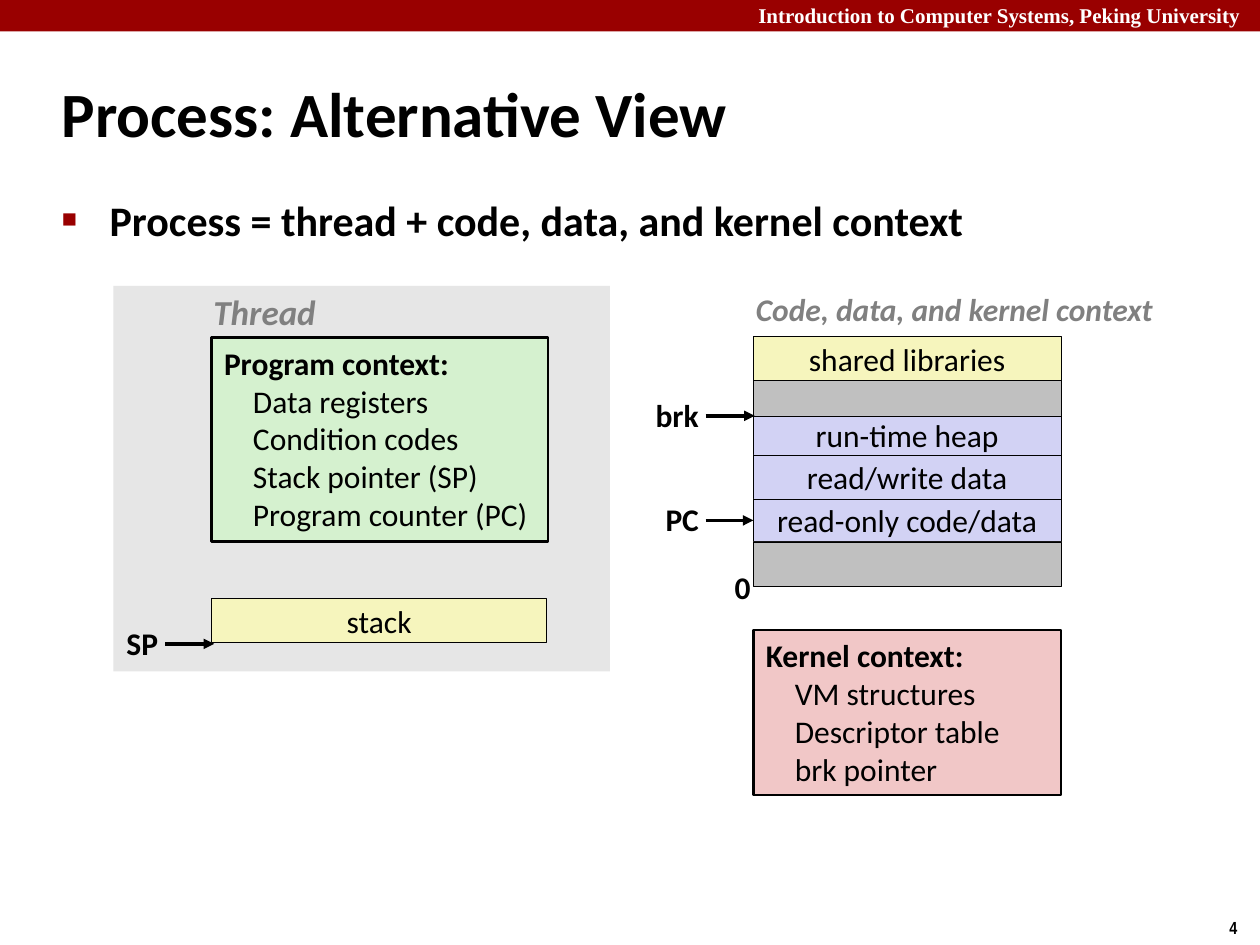
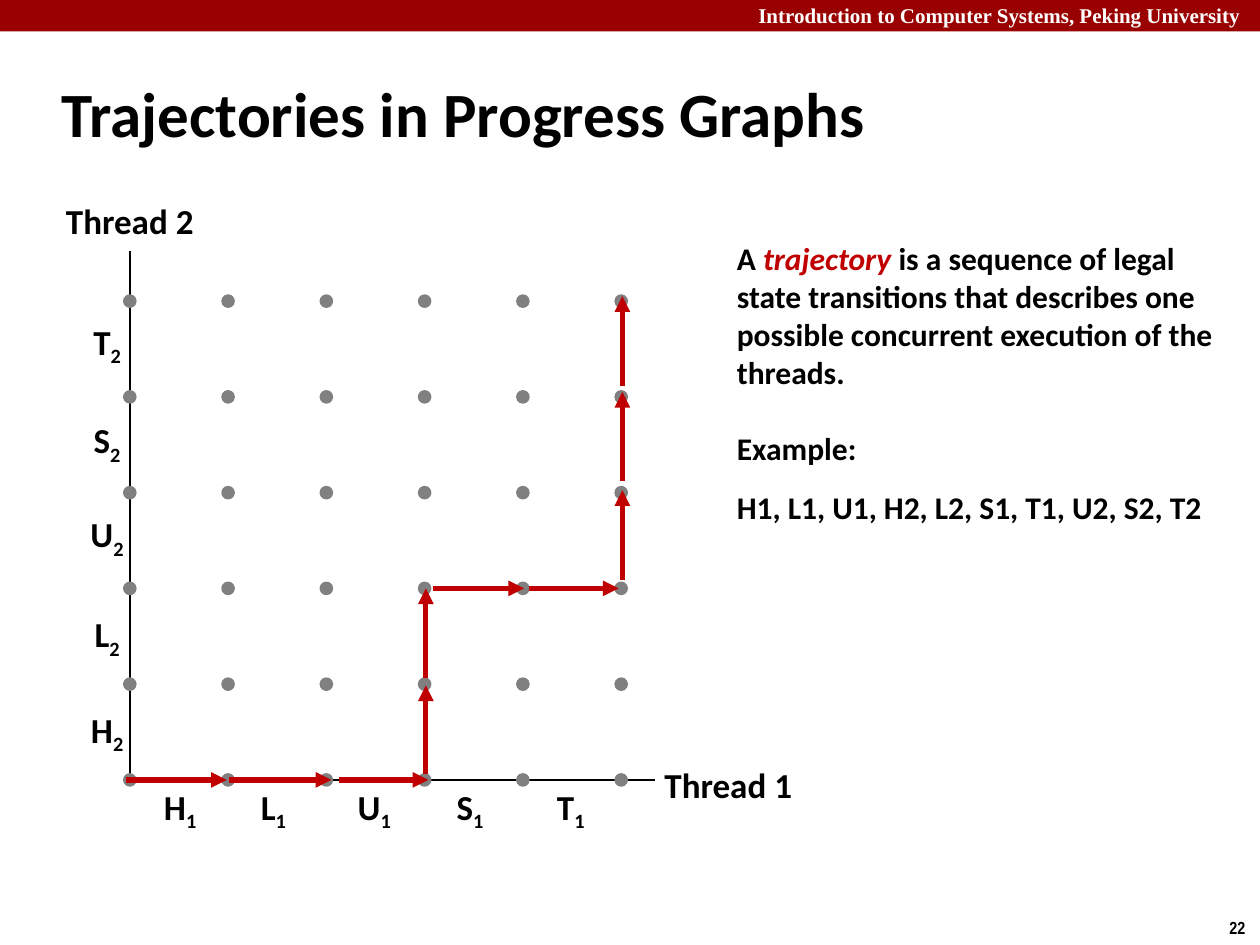
from lxml import etree
from pptx import Presentation
from pptx.dml.color import RGBColor
from pptx.enum.shapes import MSO_CONNECTOR, MSO_SHAPE
from pptx.enum.text import MSO_ANCHOR, MSO_AUTO_SIZE, PP_ALIGN
from pptx.oxml.ns import qn
from pptx.util import Inches, Pt

RECTANGLE, OVAL = MSO_SHAPE.RECTANGLE, MSO_SHAPE.OVAL
STRAIGHT = MSO_CONNECTOR.STRAIGHT
TOP, MIDDLE = MSO_ANCHOR.TOP, MSO_ANCHOR.MIDDLE
LEFT, CENTER = PP_ALIGN.LEFT, PP_ALIGN.CENTER
LEFT_SIDE = 1

COLORS = {
    "black": "000000", "white": "FFFFFF", "band": "990000", "red": "C00000",
    "gray": "808080", "panel": "E6E6E6", "unused": "C0C0C0", "yellow": "F6F5BD",
    "blue": "D2D2F4", "green": "D5F1CF", "pink": "F1C7C7",
}

# Content: shared
HEADER = "Introduction to Computer Systems, Peking University"
TITLE_PLACE = (0.39, 0.48, 8.3, 0.83)
BODY_PLACE = (0.39, 1.49, 8.64, 5.44)

# Content: process view
PROCESS_BULLET = "Process = thread + code, data, and kernel context"
MEMORY_LEFT, MEMORY_TOP, MEMORY_WIDTH = 5.98, 2.67, 2.44
MEMORY_REGIONS = [  # text, fill, height
    ("shared libraries", "yellow", 0.35),
    ("", "unused", 0.28),
    ("run-time heap", "blue", 0.31),
    ("read/write data", "blue", 0.35),
    ("read-only code/data", "blue", 0.34),
    ("", "unused", 0.35),
]
CONTEXTS = [  # heading, items, fill, place
    ("Program context:",
     ["Data registers", "Condition codes", "Stack pointer (SP)", "Program counter (PC)"],
     "green", (1.68, 2.68, 2.67, 1.62)),
    ("Kernel context:", ["VM structures", "Descriptor table", "brk pointer"],
     "pink", (MEMORY_LEFT, 5, MEMORY_WIDTH, 1.31)),
]
GROUP_HEADINGS = [  # text, size, place
    ("Thread", 20, (1.59, 2.25, 1.02, 0.44)),
    ("Code, data, and kernel context", 18, (5.88, 2.25, 3.39, 0.4)),
]
POINTER_LABELS = [  # text, place
    ("SP", (0.9, 4.9, 0.46, 0.4)),
    ("PC", (5.18, 3.92, 0.47, 0.4)),
    ("brk", (5.1, 3.09, 0.55, 0.4)),
    ("0", (5.73, 4.46, 0.33, 0.4)),
]

# Content: progress graph
ORIGIN_X, ORIGIN_Y = 1.03, 6.19
STEP_X, STEP_Y = 0.78, 0.76
STATES = 6
DOT_SIZE = 0.08
AXIS_LABELS = [("Thread 1", (5.17, 6.01, 1.22, 0.44)), ("Thread 2", (0.42, 1.53, 1.22, 0.44))]
THREAD_STEPS = [  # letter, centre along thread 1, centre along thread 2
    ("H", 1.43, 5.81), ("L", 2.17, 5.05), ("U", 2.97, 4.26),
    ("S", 3.73, 3.51), ("T", 4.53, 2.73),
]
TRAJECTORY = [  # thread, distance past the first dot, distance past the second dot
    (1, -0.03, -0.01), (1, 0.01, 0.04), (1, 0.1, 0.03),
    (2, 0.05, -0.01), (2, 0.05, 0),
    (1, 0.07, 0.01), (1, 0.05, -0.02),
    (2, 0.07, 0.02), (2, 0.09, 0.04), (2, 0.09, 0.04),
]
EXPLANATION = [  # runs as (text, emphasised), space before
    ([("A ", False), ("trajectory", True),
      (" is a sequence of legal state transitions that describes one possible "
       "concurrent execution of the threads.", False)], 0),
    ([("Example:", False)], 22),
    ([("H1, L1, U1, H2, L2, S1, T1, U2, S2, T2", False)], 12),
]


def rgb(color):
    return RGBColor.from_string(COLORS[color])


def inches(place):
    return [Inches(length) for length in place]


def style(paragraph, size, bold=False, color="black", name="Calibri", italic=False, align=LEFT):
    paragraph.alignment = align
    font = paragraph.font
    font.name, font.size, font.bold, font.italic = name, Pt(size), bold, italic
    font.color.rgb = rgb(color)


def add_box(shapes, place, fill, line=None, line_width=0.25, kind=RECTANGLE):
    shape = shapes.add_shape(kind, *inches(place))
    shape.shadow.inherit = False
    shape.fill.solid()
    shape.fill.fore_color.rgb = rgb(fill)
    if line:
        shape.line.color.rgb = rgb(line)
        shape.line.width = Pt(line_width)
    else:
        shape.line.fill.background()
    return shape


def add_text(slide, place, text, size, wrap=False, anchor=MIDDLE, align=CENTER, **font):
    frame = slide.shapes.add_textbox(*inches(place)).text_frame
    frame.word_wrap = wrap
    frame.vertical_anchor = anchor
    frame.text = text
    style(frame.paragraphs[0], size, align=align, **font)
    return frame


def add_region(slide, place, text, fill):
    shape = add_box(slide.shapes, place, fill, "black")
    if text:
        frame = shape.text_frame
        frame.word_wrap = False
        frame.vertical_anchor = MIDDLE
        frame.text = text
        style(frame.paragraphs[0], 18, align=CENTER)
    return shape


def add_line(slide, start, end, color, width, arrow=False):
    connector = slide.shapes.add_connector(STRAIGHT, *inches(start + end))
    connector.line.color.rgb = rgb(color)
    connector.line.width = Pt(width)
    properties = connector._element.spPr
    etree.SubElement(properties, qn("a:effectLst"))
    if arrow:
        etree.SubElement(properties.find(qn("a:ln")), qn("a:tailEnd"), type="triangle")
    return connector


def place_placeholder(placeholder, place, text, anchor):
    placeholder.left, placeholder.top, placeholder.width, placeholder.height = inches(place)
    frame = placeholder.text_frame
    frame.auto_size = MSO_AUTO_SIZE.NONE
    frame.vertical_anchor = anchor
    frame.text = text
    return frame.paragraphs[0]


def add_bullet(paragraph):
    properties = paragraph._p.get_or_add_pPr()
    properties.set("marL", str(Inches(0.38)))
    properties.set("indent", str(-Inches(0.38)))
    bullet_color = etree.SubElement(properties, qn("a:buClr"))
    etree.SubElement(bullet_color, qn("a:srgbClr"), val=COLORS["band"])
    etree.SubElement(properties, qn("a:buSzPct"), val="60000")
    etree.SubElement(properties, qn("a:buChar"), char="■")


def start_slide(presentation, layout, title, number):
    """Add a slide with the band, header, page number and title."""
    slide = presentation.slides.add_slide(presentation.slide_layouts[layout])
    add_box(slide.shapes, (0, 0, 10, 0.25), "band")
    add_text(slide, (5.92, -0.03, 4.15, 0.3), HEADER, 12, wrap=True, anchor=TOP, align=LEFT,
             bold=True, color="white", name="Times New Roman")
    add_text(slide, (9.66, 7.23, 0.34, 0.27), number, 10, wrap=True, anchor=TOP, align=LEFT,
             bold=True, name="Arial Narrow")
    style(place_placeholder(slide.shapes.title, TITLE_PLACE, title, MIDDLE), 36, bold=True)
    return slide


def add_context(slide, heading, items, fill, place):
    frame = add_box(slide.shapes, place, fill, "black", 1.5).text_frame
    frame.word_wrap = True
    frame.vertical_anchor = TOP
    frame.text = "\n".join([heading] + items)
    for index, paragraph in enumerate(frame.paragraphs):
        if index:
            paragraph._p.get_or_add_pPr().set("marL", str(Inches(0.23)))
        style(paragraph, 18, bold=index == 0)


def build_process_view(presentation):
    slide = start_slide(presentation, 1, "Process: Alternative View", "4")
    bullet = place_placeholder(slide.placeholders[1], BODY_PLACE, PROCESS_BULLET, TOP)
    add_bullet(bullet)
    style(bullet, 24, bold=True)

    # Thread panel and memory regions
    add_box(slide.shapes, (0.9, 2.27, 3.94, 3.06), "panel")
    top = MEMORY_TOP
    regions = {}
    for text, fill, height in MEMORY_REGIONS:
        place = (MEMORY_LEFT, top, MEMORY_WIDTH, height)
        regions[text] = add_region(slide, place, text, fill)
        top += height
    add_region(slide, (1.68, 4.75, 2.66, 0.35), "stack", "yellow")
    for context in CONTEXTS:
        add_context(slide, *context)

    # Headings and pointers
    for text, size, place in GROUP_HEADINGS:
        add_text(slide, place, text, size, bold=True, italic=True, color="gray")
    for text, place in POINTER_LABELS:
        add_text(slide, place, text, 18, bold=True)
    for x, y in [(1.31, 5.11), (5.6, 3.3)]:
        add_line(slide, (x, y), (x + 0.39, y), "black", 2, arrow=True)
    code_pointer = add_line(slide, (5.6, 4.13), (5.98, 4.13), "black", 2, arrow=True)
    code_pointer.end_connect(regions["read-only code/data"], LEFT_SIDE)


def add_step_label(slide, letter, thread, center_x, center_y):
    place = (center_x - 0.24, center_y - 0.22, 0.48, 0.44)
    frame = add_text(slide, place, letter, 20, bold=True)
    subscript = frame.paragraphs[0].add_run()
    subscript.text = thread
    subscript._r.get_or_add_rPr().set("baseline", "-25000")


def build_progress_graph(presentation):
    slide = start_slide(presentation, 5, "Trajectories in Progress Graphs", "22")

    # Explanation
    frame = add_text(slide, (5.75, 1.84, 4.17, 2.39), "", 18, wrap=True, align=LEFT)
    for index, (runs, space_before) in enumerate(EXPLANATION):
        paragraph = frame.add_paragraph() if index else frame.paragraphs[0]
        paragraph.space_before = Pt(space_before)
        style(paragraph, 18, bold=True)
        for text, emphasised in runs:
            run = paragraph.add_run()
            run.text = text
            if emphasised:
                run.font.italic = True
                run.font.color.rgb = rgb("red")

    # Axes and labels
    origin = (ORIGIN_X, ORIGIN_Y)
    add_line(slide, origin, (5.2, ORIGIN_Y), "black", 1)
    add_line(slide, origin, (ORIGIN_X, 1.99), "black", 1)
    for text, place in AXIS_LABELS:
        add_text(slide, place, text, 20, bold=True)
    for letter, center_x, center_y in THREAD_STEPS:
        add_step_label(slide, letter, "1", center_x, 6.42)
        add_step_label(slide, letter, "2", 0.85, center_y)

    # State dots, one group per column
    for column in range(STATES):
        group = slide.shapes.add_group_shape()
        left = ORIGIN_X + column * STEP_X - DOT_SIZE / 2
        for row in range(STATES):
            top = ORIGIN_Y - row * STEP_Y - DOT_SIZE / 2
            add_box(group.shapes, (left, top, DOT_SIZE, DOT_SIZE), "gray", "gray", 2, OVAL)

    # Trajectory
    x, y = origin
    for thread, start_gap, end_gap in TRAJECTORY:
        if thread == 1:
            add_line(slide, (x + start_gap, y), (x + STEP_X + end_gap, y), "red", 3, arrow=True)
            x += STEP_X
        else:
            line_x = x + 0.01
            add_line(slide, (line_x, y - start_gap), (line_x, y - STEP_Y - end_gap),
                     "red", 3, arrow=True)
            y -= STEP_Y


def main():
    presentation = Presentation()
    presentation.slide_width, presentation.slide_height = Inches(10), Inches(7.5)
    build_process_view(presentation)
    build_progress_graph(presentation)
    presentation.save("out.pptx")


if __name__ == "__main__":
    main()
